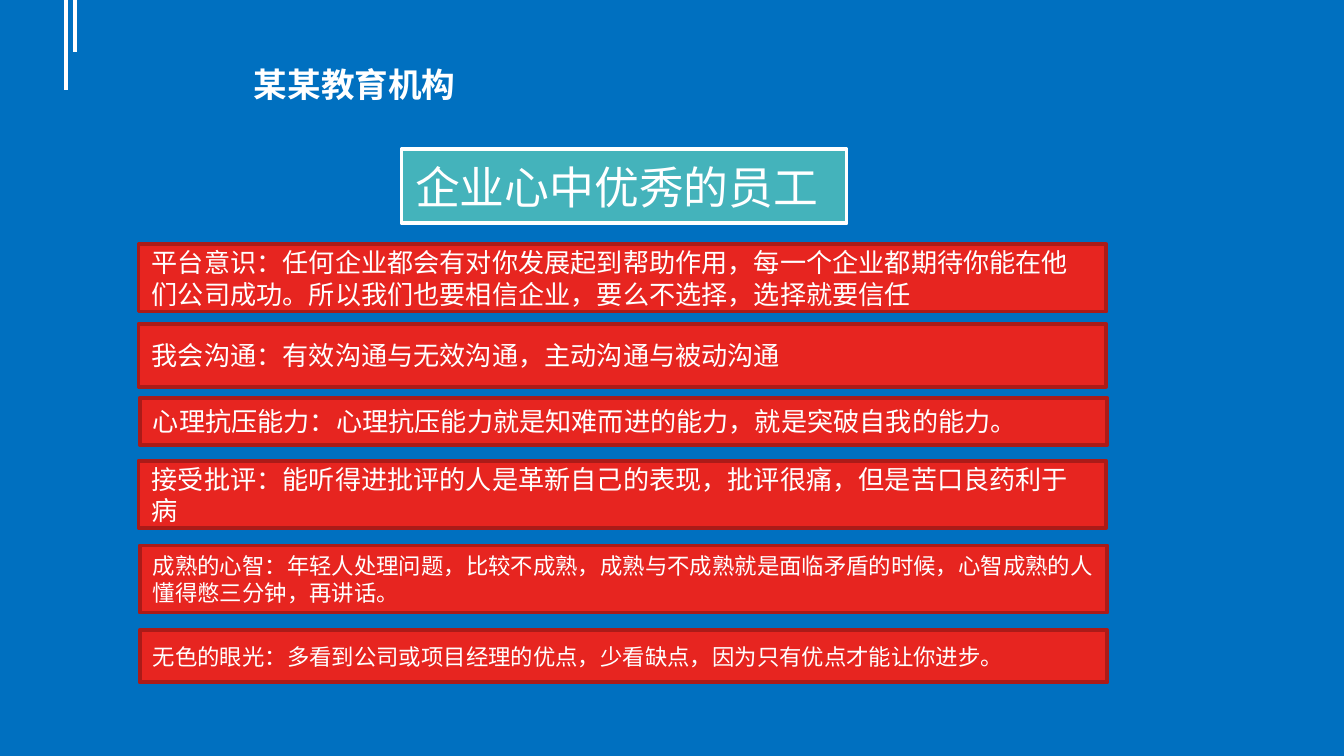
from dataclasses import dataclass

from lxml import etree
from pptx import Presentation
from pptx.dml.color import RGBColor
from pptx.enum.shapes import MSO_CONNECTOR, MSO_SHAPE
from pptx.enum.text import MSO_ANCHOR, MSO_AUTO_SIZE, PP_ALIGN
from pptx.oxml.ns import qn
from pptx.util import Cm, Pt

RECT = MSO_SHAPE.RECTANGLE
STRAIGHT = MSO_CONNECTOR.STRAIGHT
TOP, MIDDLE = MSO_ANCHOR.TOP, MSO_ANCHOR.MIDDLE
LEFT = PP_ALIGN.LEFT
NO_FIT = MSO_AUTO_SIZE.NONE

BLUE = RGBColor(0x00, 0x70, 0xC0)
TEAL = RGBColor(0x44, 0xB3, 0xBB)
RED = RGBColor(0xE7, 0x25, 0x20)
DARK_RED = RGBColor(0xAB, 0x1B, 0x18)
WHITE = RGBColor(0xFF, 0xFF, 0xFF)
FONT = "DejaVu Sans"
BAR_WIDTH = 18.29


@dataclass
class Quality:
    """One bar of the list; lengths in centimetres, size in points."""
    text: str
    left: float
    top: float
    height: float
    size: int = 14


QUALITIES = [
    Quality("平台意识：任何企业都会有对你发展起到帮助作用，每一个企业都期待你能在他们公司成功。"
            "所以我们也要相信企业，要么不选择，选择就要信任", 2.62, 4.62, 1.27),
    Quality("我会沟通：有效沟通与无效沟通，主动沟通与被动沟通", 2.62, 6.12, 1.19),
    Quality("心理抗压能力：心理抗压能力就是知难而进的能力，就是突破自我的能力。",
            2.64, 7.52, 0.89),
    Quality("接受批评：能听得进批评的人是革新自己的表现，批评很痛，但是苦口良药利于病",
            2.62, 8.71, 1.27),
    Quality("成熟的心智：年轻人处理问题，比较不成熟，成熟与不成熟就是面临矛盾的时候，"
            "心智成熟的人懂得憋三分钟，再讲话。", 2.64, 10.31, 1.27, 12),
    Quality("无色的眼光：多看到公司或项目经理的优点，少看缺点，因为只有优点才能让你进步。",
            2.64, 11.91, 0.99, 12),
]


def write(shape, text: str, *, size: int, bold: bool = False, anchor=MIDDLE) -> None:
    tf = shape.text_frame
    tf.word_wrap = True
    tf.auto_size = NO_FIT
    tf.vertical_anchor = anchor
    p = tf.paragraphs[0]
    p.alignment = LEFT
    r = p.add_run()
    r.text = text
    r.font.name = FONT
    r.font.size = Pt(size)
    r.font.bold = bold
    r.font.color.rgb = WHITE


def paint(shape, fill: RGBColor, line: RGBColor) -> None:
    shape.fill.solid()
    shape.fill.fore_color.rgb = fill
    shape.line.color.rgb = line
    shape.line.width = Pt(2)


def add_stripe(s, x: float, length: float) -> None:
    stripe = s.shapes.add_connector(STRAIGHT, Cm(x), Cm(0), Cm(x), Cm(length))
    stripe.line.color.rgb = WHITE
    stripe.line.width = Pt(2.25)
    etree.SubElement(stripe._element.spPr, qn("a:effectLst"))


def add_bar(s, quality: Quality) -> None:
    bar = s.shapes.add_shape(RECT, Cm(quality.left), Cm(quality.top),
                             Cm(BAR_WIDTH), Cm(quality.height))
    bar.shadow.inherit = False
    paint(bar, RED, DARK_RED)
    write(bar, quality.text, size=quality.size)


def main() -> None:
    prs = Presentation()
    prs.slide_width, prs.slide_height = Cm(25.4), Cm(14.29)
    s = prs.slides.add_slide(prs.slide_layouts[5])
    s.background.fill.solid()
    s.background.fill.fore_color.rgb = BLUE

    # Corner stripes
    add_stripe(s, 1.24, 1.7)
    add_stripe(s, 1.42, 0.99)

    # Title
    title = s.shapes.title
    title.left, title.top = Cm(7.59), Cm(2.82)
    title.width, title.height = Cm(8.41), Cm(1.4)
    paint(title, TEAL, WHITE)
    write(title, "企业心中优秀的员工", size=24)

    # Qualities of a good employee
    for quality in QUALITIES:
        add_bar(s, quality)

    # Company name
    company = s.shapes.add_textbox(Cm(4.55), Cm(1.09), Cm(5.21), Cm(1.63))
    write(company, "某某教育机构", size=18, bold=True, anchor=TOP)

    prs.save("out.pptx")


if __name__ == "__main__":
    main()
